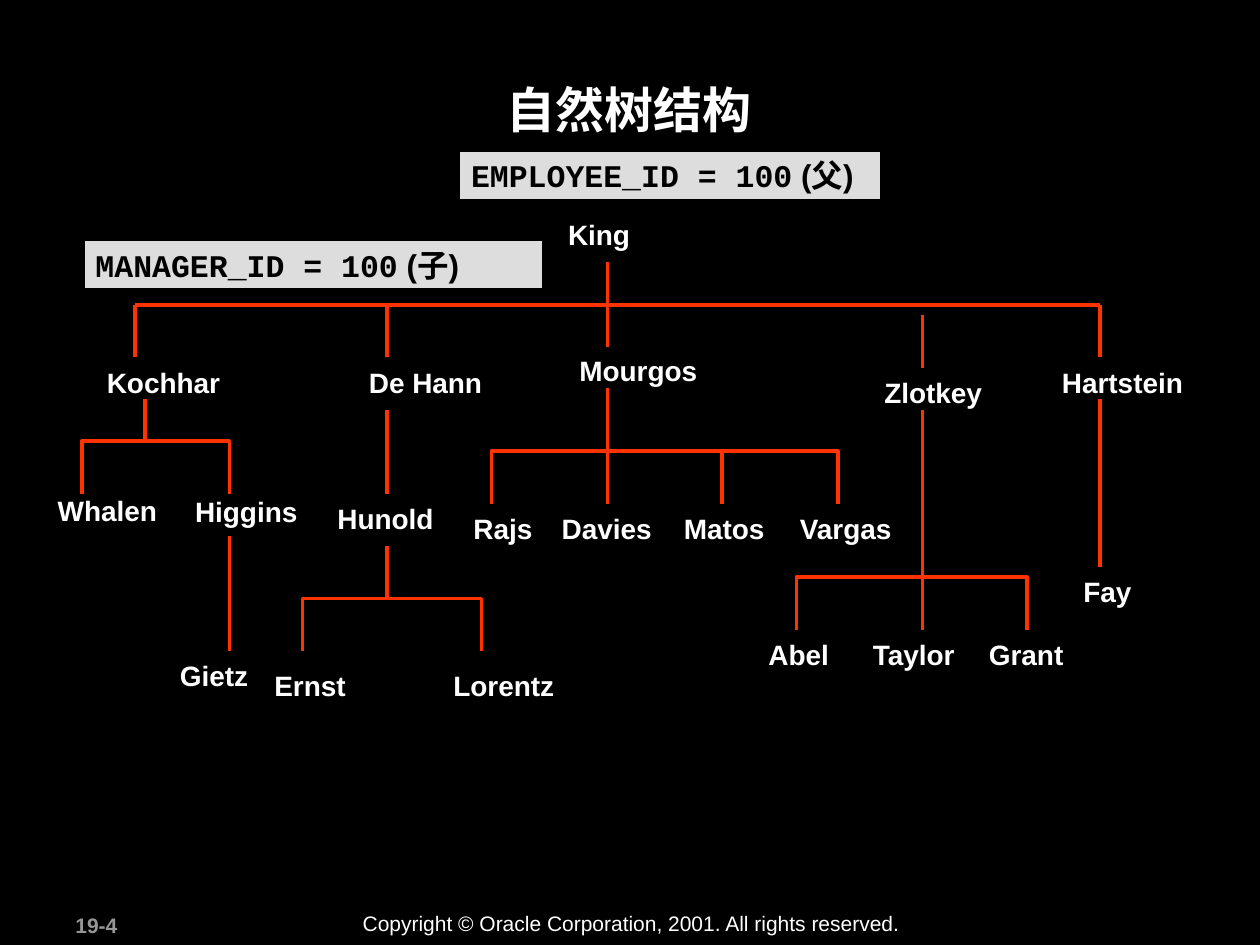
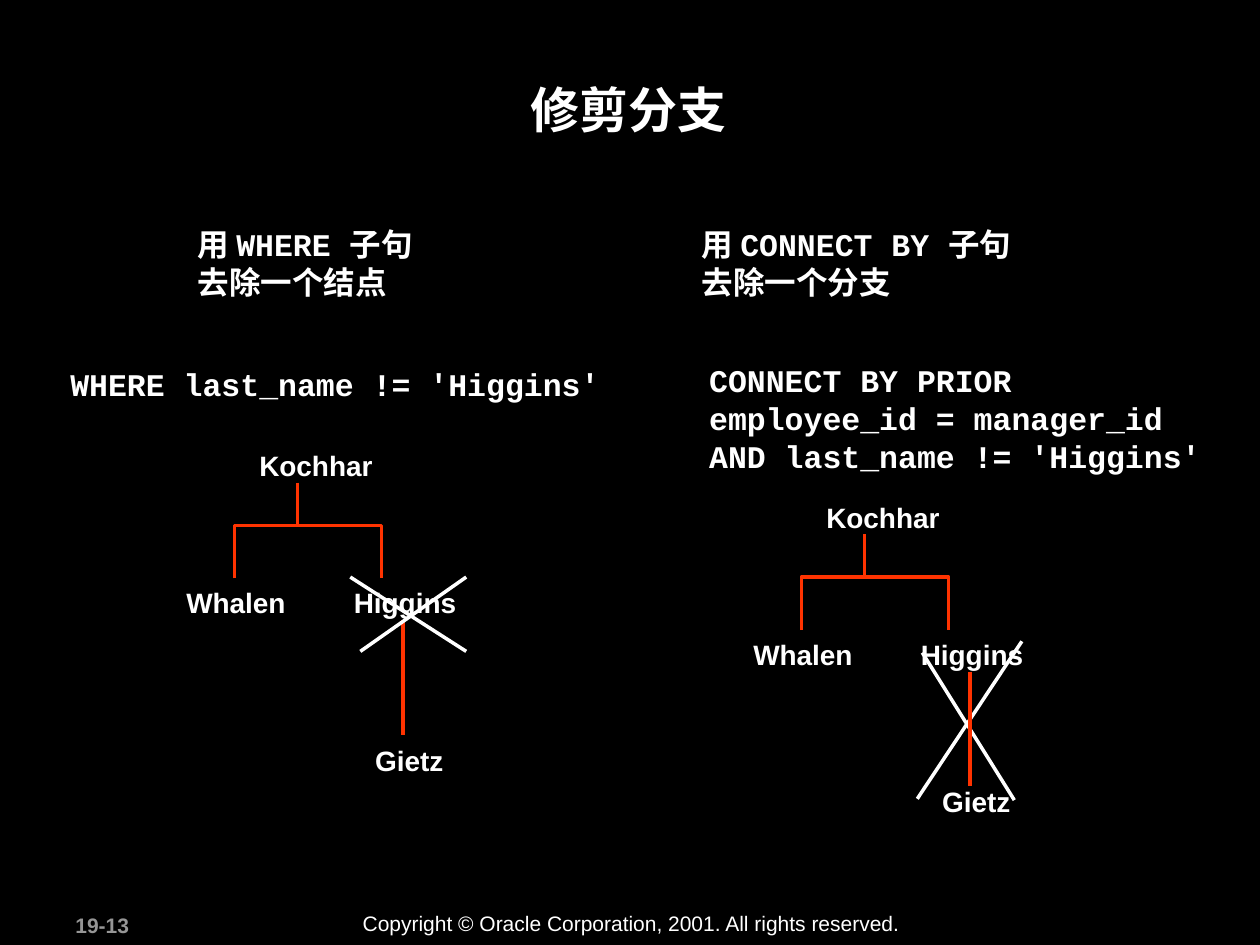
from typing import NamedTuple

from lxml import etree
from pptx import Presentation
from pptx.dml.color import RGBColor
from pptx.enum.shapes import MSO_CONNECTOR, MSO_SHAPE
from pptx.enum.text import MSO_ANCHOR, MSO_AUTO_SIZE, PP_ALIGN
from pptx.oxml.ns import qn
from pptx.util import Inches, Pt

COLORS = {
    "background": "000000",
    "text": "FFFFFF",
    "branch": "FF3300",
    "plate": "DDDDDD",
    "plate_text": "000000",
    "page_number": "969696",
}
SANS, MONO = "Arial", "Courier New"
STRAIGHT, RECTANGLE = MSO_CONNECTOR.STRAIGHT, MSO_SHAPE.RECTANGLE
CENTER, TOP = PP_ALIGN.CENTER, MSO_ANCHOR.TOP
FIT_SHAPE, NO_FIT = MSO_AUTO_SIZE.SHAPE_TO_FIT_TEXT, MSO_AUTO_SIZE.NONE
TITLE_ONLY = 5
LINE_WIDTH = Pt(2)
NAME_HEIGHT = 0.37
BRACKET_DROP = 0.42
COPYRIGHT = "Copyright © Oracle Corporation, 2001. All rights reserved."


class Area(NamedTuple):
    left: float
    top: float
    width: float
    height: float


class Span(NamedTuple):
    text: str
    font: str = SANS


class Person(NamedTuple):
    name: str
    left: float
    top: float
    width: float


class Stroke(NamedTuple):
    start_x: float
    start_y: float
    end_x: float
    end_y: float


class Bracket(NamedTuple):
    left: float
    right: float
    bar: float


class TextBlock(NamedTuple):
    area: Area
    rows: list[list[Span]]


EMPLOYEES = [
    Person("King", 4.41, 1.68, 0.69),
    Person("Kochhar", 0.75, 2.85, 1.1),
    Person("De Hann", 2.83, 2.85, 1.1),
    Person("Mourgos", 4.5, 2.76, 1.14),
    Person("Zlotkey", 6.92, 2.93, 0.98),
    Person("Hartstein", 8.33, 2.85, 1.16),
    Person("Whalen", 0.36, 3.87, 0.99),
    Person("Higgins", 1.45, 3.88, 1.01),
    Person("Hunold", 2.58, 3.93, 0.97),
    Person("Rajs", 3.66, 4.01, 0.67),
    Person("Davies", 4.36, 4.01, 0.92),
    Person("Matos", 5.33, 4.01, 0.84),
    Person("Vargas", 6.25, 4.01, 0.94),
    Person("Gietz", 1.33, 5.18, 0.74),
    Person("Ernst", 2.08, 5.26, 0.77),
    Person("Lorentz", 3.5, 5.26, 1),
    Person("Abel", 6, 5.01, 0.68),
    Person("Taylor", 6.83, 5.01, 0.87),
    Person("Grant", 7.75, 5.01, 0.79),
    Person("Fay", 8.5, 4.51, 0.65),
]
BRANCHES = [
    Stroke(1.07, 2.42, 8.73, 2.42),
    Stroke(1.07, 2.42, 1.07, 2.83),
    Stroke(3.07, 2.42, 3.07, 2.83),
    Stroke(4.82, 2.08, 4.82, 2.75),
    Stroke(7.32, 2.5, 7.32, 2.92),
    Stroke(8.73, 2.42, 8.73, 2.83),
    Stroke(1.15, 3.17, 1.15, 3.5),
    Stroke(1.82, 4.25, 1.82, 5.17),
    Stroke(3.07, 3.25, 3.07, 3.92),
    Stroke(3.07, 4.33, 3.07, 4.75),
    Stroke(4.82, 3.08, 4.82, 4),
    Stroke(7.32, 3.25, 7.32, 5),
    Stroke(8.73, 3.17, 8.73, 4.5),
]
BRACKETS = [
    Bracket(0.65, 1.82, 3.5),
    Bracket(3.9, 5.73, 3.58),
    Bracket(5.73, 6.65, 3.58),
    Bracket(2.4, 3.82, 4.75),
    Bracket(6.32, 8.15, 4.58),
]
PLATES = [
    TextBlock(Area(3.64, 1.19, 3.36, 0.4), [[Span("EMPLOYEE_ID = 100", MONO), Span(" (父)")]]),
    TextBlock(Area(0.66, 1.9, 3.66, 0.4), [[Span("MANAGER_ID = 100", MONO), Span(" (子)")]]),
]
CLAUSES = [
    TextBlock(Area(1.47, 1.74, 2.02, 0.7),
              [[Span("用 "), Span("WHERE ", MONO), Span("子句")], [Span("去除一个结点")]]),
    TextBlock(Area(5.47, 1.74, 2.71, 0.7),
              [[Span("用 "), Span("CONNECT BY ", MONO), Span("子句")], [Span("去除一个分支")]]),
    TextBlock(Area(0.46, 2.85, 4.4, 0.4), [[Span("WHERE last_name != 'Higgins'", MONO)]]),
    TextBlock(Area(5.53, 2.82, 4.1, 1),
              [[Span("CONNECT BY PRIOR", MONO)],
               [Span("employee_id = manager_id", MONO)],
               [Span("AND last_name != 'Higgins'", MONO)]]),
]
NODE_CROSS = [Stroke(2.78, 4.58, 3.7, 5.17), Stroke(2.86, 5.17, 3.7, 4.58)]
BRANCH_CROSS = [Stroke(7.28, 6.34, 8.11, 5.09), Stroke(7.32, 5.18, 8.05, 6.35)]


def color(name: str) -> RGBColor:
    return RGBColor.from_string(COLORS[name])


def inches(values) -> list[Inches]:
    return [Inches(value) for value in values]


def format_font(font, size: float, ink: str, bold: bool = True, name: str = SANS) -> None:
    font.name = name
    font.size = Pt(size)
    font.bold = bold
    font.color.rgb = color(ink)


def fill_text(box, rows: list[list[Span]], size: float, ink: str,
              bold: bool = True, wrap: bool = False) -> None:
    frame = box.text_frame
    frame.word_wrap = wrap
    frame.auto_size = FIT_SHAPE
    frame.vertical_anchor = TOP
    for index, row in enumerate(rows):
        para = frame.add_paragraph() if index else frame.paragraphs[0]
        para.alignment = PP_ALIGN.LEFT
        for span in row:
            run = para.add_run()
            run.text = span.text
            format_font(run.font, size, ink, bold, span.font)


def add_text(page, area: Area, rows: list[list[Span]], size: float,
             ink: str = "text", bold: bool = True, wrap: bool = False) -> None:
    box = page.shapes.add_textbox(*inches(area))
    fill_text(box, rows, size, ink, bold, wrap)


def add_plate(page, plate: TextBlock) -> None:
    box = page.shapes.add_shape(RECTANGLE, *inches(plate.area))
    box.shadow.inherit = False
    box.fill.solid()
    box.fill.fore_color.rgb = color("plate")
    box.line.color.rgb = color("background")
    box.line.width = LINE_WIDTH
    fill_text(box, plate.rows, 18, "plate_text")


def add_person(page, person: Person) -> None:
    area = Area(person.left, person.top, person.width, NAME_HEIGHT)
    add_text(page, area, [[Span(person.name)]], 16)


def add_strokes(page, strokes: list[Stroke], ink: str = "branch") -> None:
    for stroke in strokes:
        line = page.shapes.add_connector(STRAIGHT, *inches(stroke))
        line.line.color.rgb = color(ink)
        line.line.width = LINE_WIDTH
        etree.SubElement(line._element.spPr, qn("a:effectLst"))


def add_bracket(page, bracket: Bracket) -> None:
    """Draw a bar with a leg down from each end."""
    left, right, bar, foot = inches([*bracket, bracket.bar + BRACKET_DROP])
    builder = page.shapes.build_freeform(left, foot, scale=1.0)
    builder.add_line_segments([(left, bar), (right, bar), (right, foot)], close=False)
    outline = builder.convert_to_shape()
    outline.shadow.inherit = False
    outline.fill.background()
    outline.line.color.rgb = color("branch")
    outline.line.width = LINE_WIDTH


def add_kochhar_tree(page, left: float, top: float, gietz_top: float) -> None:
    """Draw Kochhar's branch, with left and top at the name Kochhar."""
    bar = top + 0.66
    child_top = top + 1.09
    add_strokes(page, [
        Stroke(left + 0.4, top + 0.32, left + 0.4, bar),
        Stroke(left + 1.24, top + 1.41, left + 1.24, top + 2.32),
    ])
    add_bracket(page, Bracket(left - 0.1, left + 1.07, bar))
    for person in (
        Person("Kochhar", left, top, 1.1),
        Person("Whalen", left - 0.58, child_top, 0.99),
        Person("Higgins", left + 0.75, child_top, 1.01),
        Person("Gietz", left + 0.92, gietz_top, 0.74),
    ):
        add_person(page, person)


def add_page(deck, title_text: str, number: str):
    """Add a slide with the shared background, title and footer."""
    page = deck.slides.add_slide(deck.slide_layouts[TITLE_ONLY])
    page.background.fill.solid()
    page.background.fill.fore_color.rgb = color("background")
    title = page.shapes.title
    title.left, title.top, title.width, title.height = inches(Area(0.94, 0.58, 8.1, 0.96))
    frame = title.text_frame
    frame.text = title_text
    frame.auto_size = NO_FIT
    frame.vertical_anchor = TOP
    frame.paragraphs[0].alignment = CENTER
    format_font(frame.paragraphs[0].runs[0].font, 28, "text")
    add_text(page, Area(0.5, 7.19, 1.05, 0.3), [[Span(number)]], 12, "page_number", wrap=True)
    add_text(page, Area(2.78, 7.18, 4.48, 0.3), [[Span(COPYRIGHT)]], 12, bold=False, wrap=True)
    return page


def build_natural_tree(deck) -> None:
    page = add_page(deck, "自然树结构", "19-4")
    for plate in PLATES:
        add_plate(page, plate)
    add_strokes(page, BRANCHES)
    for bracket in BRACKETS:
        add_bracket(page, bracket)
    for person in EMPLOYEES:
        add_person(page, person)


def build_pruning(deck) -> None:
    page = add_page(deck, "修剪分支", "19-13")
    for clause in CLAUSES:
        add_text(page, clause.area, clause.rows, 18)
    add_strokes(page, BRANCH_CROSS, "text")
    add_kochhar_tree(page, 1.96, 3.51, 5.85)
    add_kochhar_tree(page, 6.46, 3.92, 6.18)
    add_strokes(page, NODE_CROSS, "text")


def main() -> None:
    deck = Presentation()
    deck.slide_width, deck.slide_height = Inches(10), Inches(7.5)
    build_natural_tree(deck)
    build_pruning(deck)
    deck.save("out.pptx")


if __name__ == "__main__":
    main()
